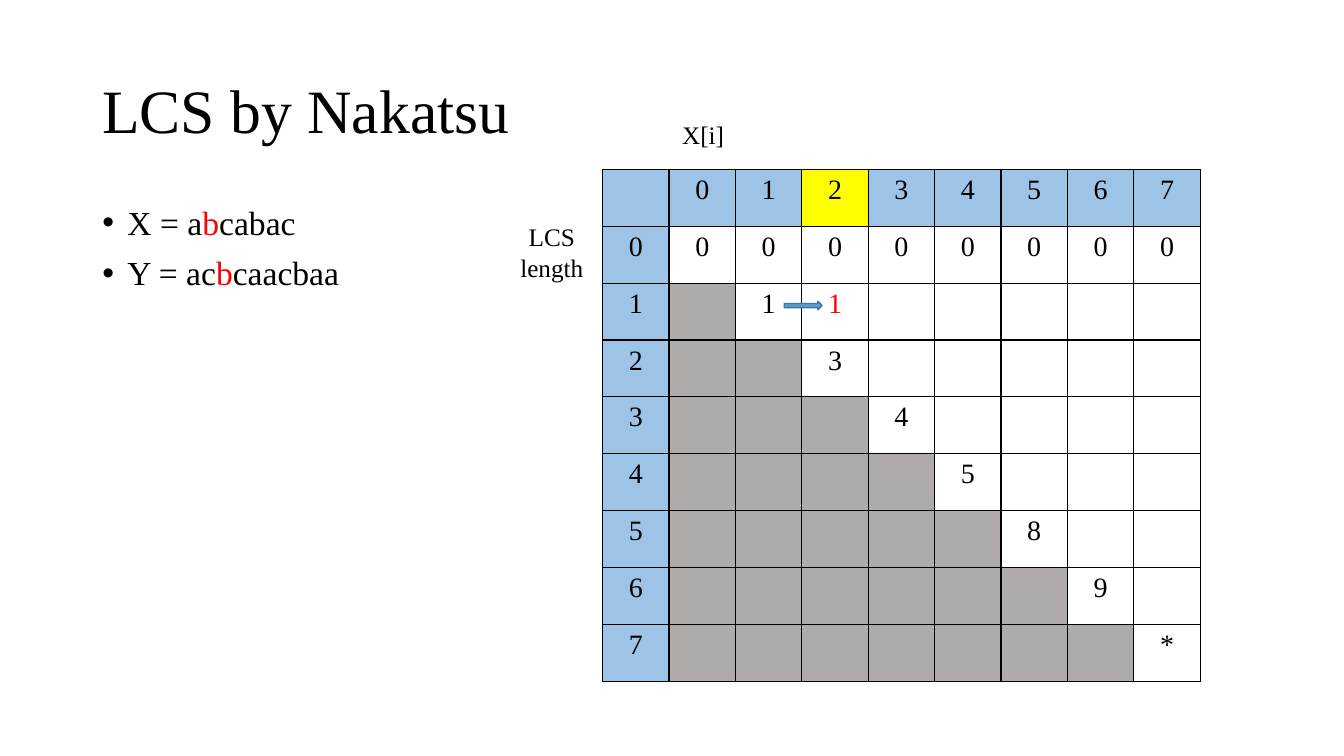
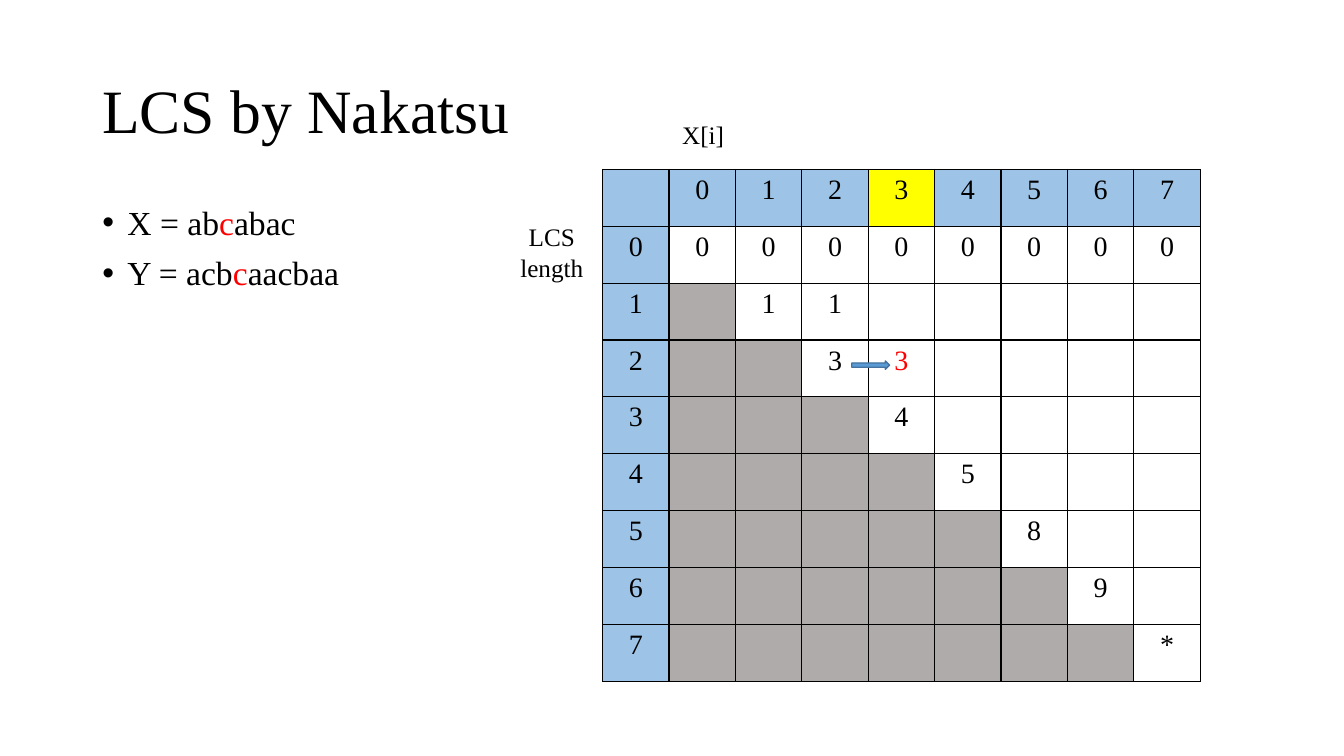
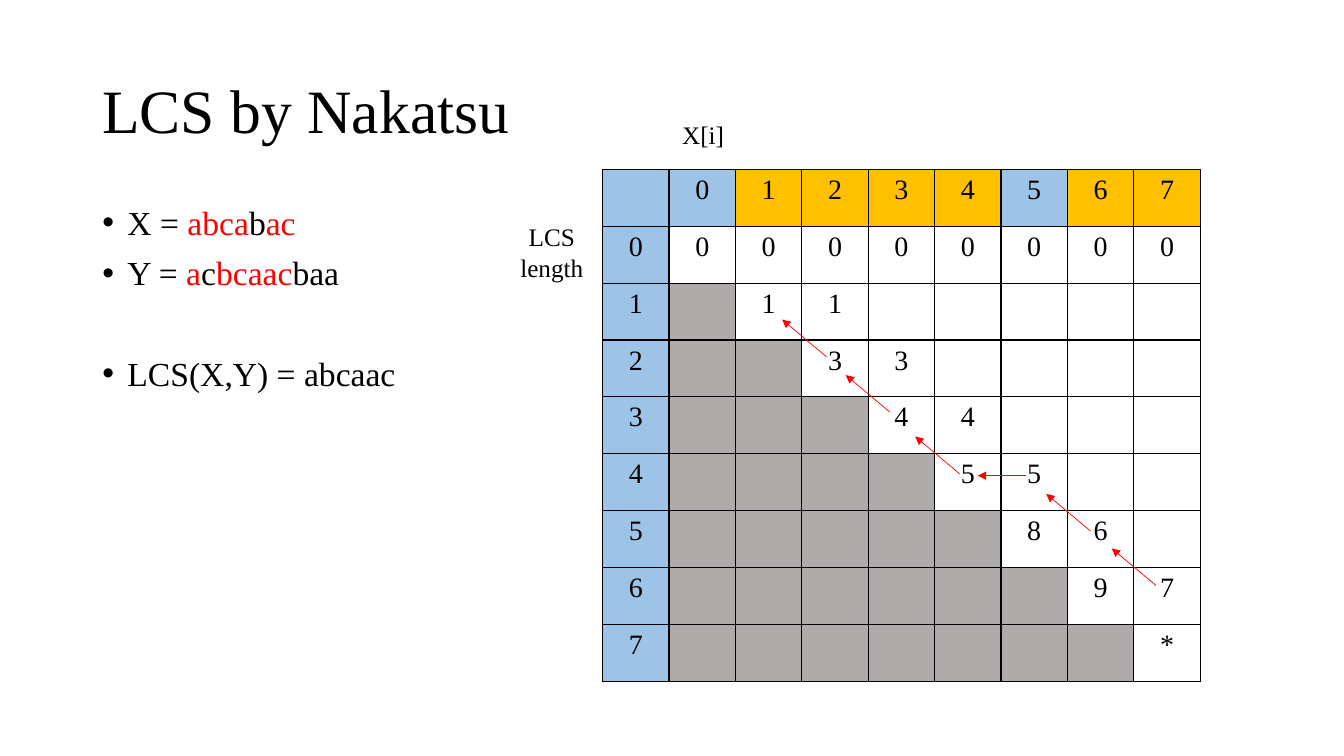
from dataclasses import dataclass

from lxml.etree import SubElement
from pptx import Presentation
from pptx.dml.color import RGBColor as RGB
from pptx.enum.shapes import MSO_CONNECTOR as CONNECTOR, MSO_SHAPE as SHAPE
from pptx.enum.text import MSO_ANCHOR as ANCHOR, PP_ALIGN as ALIGN
from pptx.oxml.ns import qn
from pptx.util import Pt


@dataclass(frozen=True)
class Theme:
    font: str = "Times New Roman"
    title_size: int = 44
    body_size: int = 24
    cell_size: int = 20
    label_size: int = 18
    ink: RGB = RGB(0x00, 0x00, 0x00)
    accent: RGB = RGB(0xFF, 0x00, 0x00)
    header: RGB = RGB(0x9D, 0xC3, 0xE6)
    unused: RGB = RGB(0xAF, 0xAB, 0xAB)
    current: RGB = RGB(0xFF, 0xFF, 0x00)
    matched: RGB = RGB(0xFF, 0xC0, 0x00)
    arrow: RGB = RGB(0x5B, 0x9B, 0xD5)
    arrow_edge: RGB = RGB(0x43, 0x73, 0x9E)


theme = Theme()


def style_runs(paragraph, size, color=theme.ink):
    for run in paragraph.runs:
        run.font.name = theme.font
        run.font.size = Pt(size)
        run.font.color.rgb = color


def add_text(slide, box, text, size, align=ALIGN.LEFT):
    """Add a wrapped text box with one plain paragraph and return its frame."""
    frame = slide.shapes.add_textbox(*map(Pt, box)).text_frame
    frame.word_wrap = True
    frame.text = text
    frame.paragraphs[0].alignment = align
    style_runs(frame.paragraphs[0], size)
    return frame


# Table geometry and the values known at every step
GRID_LEFT, GRID_TOP = 430.5, 121
COLUMN_WIDTH, ROW_HEIGHT = 47.45, 40.63
X_LENGTH = 7
GRID_SIZE = X_LENGTH + 2
DIAGONAL = "0134589*"
SECOND_DIAGONAL = "134567"

# In the strings, every second part between bars is highlighted.
# Each line holds its text and the space before it.
steps = [
    {"lines": [("X = a|b|cabac", 0), ("Y = ac|b|caacbaa", 10)],
     "found": 1, "marked": {2}, "mark": theme.current, "newest": theme.accent,
     "step_arrow": (560.2, 215.3), "traceback": []},
    {"lines": [("X = ab|c|abac", 0), ("Y = acb|c|aacbaa", 10)],
     "found": 2, "marked": {3}, "mark": theme.current, "newest": theme.accent,
     "step_arrow": (608.4, 257.8), "traceback": []},
    {"lines": [("X = |abca|b|ac", 0), ("Y = |a|c|bcaac|baa", 10),
               ("LCS(X,Y) = abcaac", 46)],
     "found": 6, "marked": {1, 2, 3, 4, 6, 7}, "mark": theme.matched,
     "newest": theme.ink, "step_arrow": None,
     # start x, start y, run, rise
     "traceback": [(825.8, 418.3, 31.7, 26.6), (779, 379.4, 31.7, 26.6),
                   (733, 339.8, 34.6, 0), (685.4, 338.4, 31.7, 26.6),
                   (635.8, 294.5, 31.7, 26.6), (590.4, 254.9, 31.7, 26.6)]},
]

deck = Presentation()
deck.slide_width, deck.slide_height = Pt(960), Pt(540)

for step in steps:
    slide = deck.slides.add_slide(deck.slide_layouts[6])

    title = add_text(slide, (66, 28.75, 828, 104.4), "LCS by Nakatsu", theme.title_size)
    title.vertical_anchor = ANCHOR.MIDDLE
    title.paragraphs[0].line_spacing = 0.9

    strings = add_text(slide, (66, 143.75, 314.6, 342.6), "", theme.body_size)
    for number, (line, space_before) in enumerate(step["lines"]):
        paragraph = strings.add_paragraph() if number else strings.paragraphs[0]
        properties = paragraph._p.get_or_add_pPr()
        properties.set("marL", str(Pt(18)))
        properties.set("indent", str(Pt(-18)))
        SubElement(properties, qn("a:buFont"), typeface="Arial")
        SubElement(properties, qn("a:buChar"), char="•")
        paragraph.line_spacing = 0.9
        paragraph.space_before = Pt(space_before)
        for part in line.split("|"):
            paragraph.add_run().text = part
        style_runs(paragraph, theme.body_size)
        for highlighted in paragraph.runs[1::2]:
            highlighted.font.color.rgb = theme.accent

    grid = slide.shapes.add_table(
        GRID_SIZE, GRID_SIZE, Pt(GRID_LEFT), Pt(GRID_TOP),
        Pt(GRID_SIZE * COLUMN_WIDTH), Pt(GRID_SIZE * ROW_HEIGHT)).table
    grid.first_row = grid.horz_banding = False
    for column in grid.columns:
        column.width = Pt(COLUMN_WIDTH)
    for row in grid.rows:
        row.height = Pt(ROW_HEIGHT)

    for row in range(GRID_SIZE):
        for column in range(GRID_SIZE):
            length, index = row - 1, column - 1  # -1 is the header row or column
            value, fill, ink = "", None, theme.ink
            if length < 0:
                value = str(index) if index >= 0 else ""
                fill = step["mark"] if index in step["marked"] else theme.header
            elif index < 0:
                value, fill = str(length), theme.header
            elif index < length:
                fill = theme.unused
            elif length == 0 or index == length:
                value = DIAGONAL[length]
            elif index == length + 1 and length <= step["found"]:
                value = SECOND_DIAGONAL[length - 1]
                ink = step["newest"] if length == step["found"] else theme.ink

            cell = grid.cell(row, column)
            cell.text_frame.text = value
            cell.text_frame.paragraphs[0].alignment = ALIGN.CENTER
            style_runs(cell.text_frame.paragraphs[0], theme.cell_size, ink)
            cell_properties = cell._tc.get_or_add_tcPr()
            for side in ("a:lnL", "a:lnR", "a:lnT", "a:lnB"):
                border = SubElement(cell_properties, qn(side), w=str(Pt(1)))
                border_fill = SubElement(border, qn("a:solidFill"))
                SubElement(border_fill, qn("a:srgbClr"), val=str(theme.ink))
            if fill is None:
                cell.fill.background()
            else:
                cell.fill.solid()
                cell.fill.fore_color.rgb = fill

    add_text(slide, (480.2, 81.4, 68.4, 28.8), "X[i]", theme.label_size)
    add_text(slide, (361.4, 154.8, 65.5, 51.1), "LCS length", theme.label_size, ALIGN.CENTER)

    if step["step_arrow"]:
        left, top = step["step_arrow"]
        step_arrow = slide.shapes.add_shape(
            SHAPE.RIGHT_ARROW, Pt(left), Pt(top), Pt(27), Pt(6))
        step_arrow.shadow.inherit = False
        step_arrow.fill.solid()
        step_arrow.fill.fore_color.rgb = theme.arrow
        step_arrow.line.color.rgb = theme.arrow_edge
        step_arrow.line.width = Pt(1)

    for x, y, run, rise in step["traceback"]:
        link = slide.shapes.add_connector(
            CONNECTOR.STRAIGHT, Pt(x), Pt(y), Pt(x - run), Pt(y - rise))
        link.line.color.rgb = theme.accent
        link.line.width = Pt(0.5)
        link_properties = link._element.spPr
        SubElement(link_properties.find(qn("a:ln")), qn("a:tailEnd"), type="triangle")
        SubElement(link_properties, qn("a:effectLst"))

deck.save("out.pptx")
